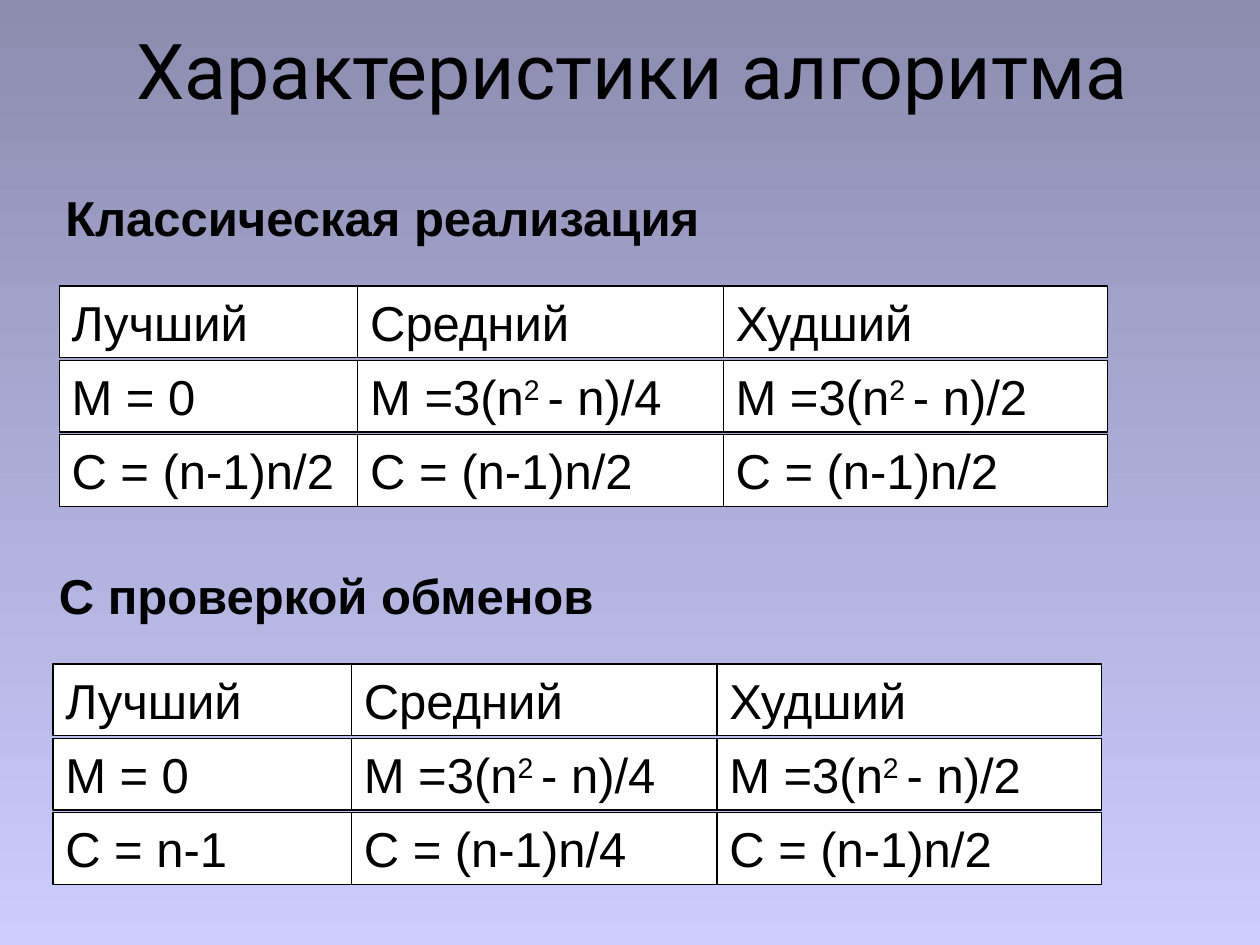
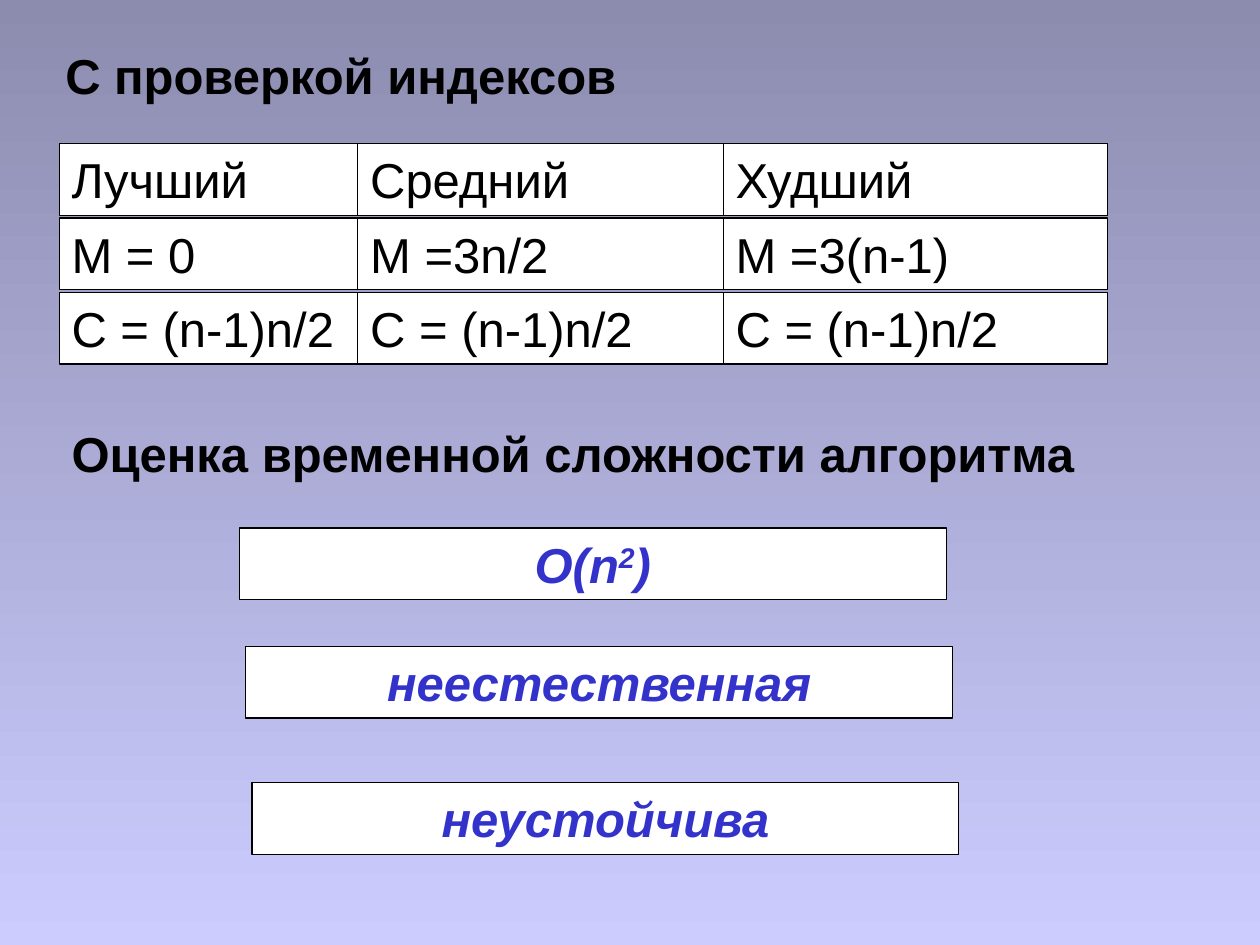
from dataclasses import dataclass
from itertools import accumulate

from pptx import Presentation
from pptx.dml.color import RGBColor
from pptx.enum.shapes import MSO_SHAPE as Shape
from pptx.enum.text import MSO_ANCHOR as Anchor, MSO_AUTO_SIZE as AutoSize, PP_ALIGN as Align
from pptx.slide import Slide
from pptx.text.text import TextFrame
from pptx.util import Emu, Inches, Pt

# Shared style
COLOURS = {
    "top": "8C8CAF",
    "bottom": "CCCCFF",
    "text": "000000",
    "cell": "FFFFFF",
    "verdict": "3333CC",
}
TITLE_FONT, BODY_FONT = "Roboto", "Arial"
TITLE_SIZE, BODY_SIZE = 44, 28

# Grid of 100 columns by 75 rows; all places below are counted in it
SLIDE_WIDTH, SLIDE_HEIGHT = Inches(10), Inches(7.5)
COLUMN, ROW = SLIDE_WIDTH / 100, SLIDE_HEIGHT / 75

BOX_HEIGHT = 5.7
ROW_PITCH = 5.9
CELL_WIDTHS = (23.7, 29, 30.5)
CELL_OFFSETS = tuple(accumulate(CELL_WIDTHS[:-1], initial=0))
TABLE_INDENT, TABLE_DROP = 0.5, 8.3
HEADING_WIDTH, VERDICT_WIDTH = 82.7, 56.1
CASES = ("Лучший", "Средний", "Худший")


@dataclass(frozen=True)
class Box:
    text: str  # parts between ^ marks are superscript
    left: float
    top: float
    width: float
    filled: bool = True
    bold: bool = False
    italic: bool = False
    colour: str = "text"
    align: Align = Align.LEFT


@dataclass(frozen=True)
class Section:
    heading: str
    left: float
    top: float
    moves: tuple[str, str, str]
    comparisons: tuple[str, str, str]


CLASSIC = Section(
    "Классическая реализация", 4.2, 14.4,
    ("M = 0", "M =3(n^2 ^- n)/4", "M =3(n^2 ^- n)/2"),
    ("C = (n-1)n/2",) * 3,
)
SWAP_CHECK = Section(
    "С проверкой обменов", 3.7, 44.4,
    CLASSIC.moves,
    ("C = n-1", "C = (n-1)n/4", "C = (n-1)n/2"),
)
INDEX_CHECK = Section(
    "С проверкой индексов", 4.2, 3.1,
    ("M = 0", "M =3n/2", "M =3(n-1)"),
    CLASSIC.comparisons,
)
VERDICTS = (
    ("О(n^2^)", 19, 41.9),
    ("неестественная", 19.5, 51.3),
    ("неустойчива", 20, 62.1),
)


def colour(name: str) -> RGBColor:
    return RGBColor.from_string(COLOURS[name])


def columns(count: float) -> Emu:
    return Emu(round(count * COLUMN))


def rows(count: float) -> Emu:
    return Emu(round(count * ROW))


def write_text(frame: TextFrame, box: Box) -> None:
    paragraph = frame.paragraphs[0]
    paragraph.alignment = box.align
    for index, part in enumerate(box.text.split("^")):
        if part:
            run = paragraph.add_run()
            run.text = part
            if index % 2:
                run._r.get_or_add_rPr().set("baseline", "30000")
    font = paragraph.font
    font.name, font.size = BODY_FONT, Pt(BODY_SIZE)
    font.bold, font.italic = box.bold, box.italic
    font.color.rgb = colour(box.colour)


def draw_box(slide: Slide, box: Box) -> None:
    place = columns(box.left), rows(box.top), columns(box.width), rows(BOX_HEIGHT)
    if box.filled:
        shape = slide.shapes.add_shape(Shape.RECTANGLE, *place)
        shape.shadow.inherit = False
        shape.fill.solid()
        shape.fill.fore_color.rgb = colour("cell")
        shape.line.color.rgb = colour("text")
        shape.line.width = Pt(0.75)
    else:
        shape = slide.shapes.add_textbox(*place)
    frame = shape.text_frame
    frame.word_wrap = True
    frame.vertical_anchor = Anchor.TOP
    frame.auto_size = AutoSize.SHAPE_TO_FIT_TEXT
    write_text(frame, box)


def draw_heading(slide: Slide, text: str, left: float, top: float,
                 width: float = HEADING_WIDTH) -> None:
    draw_box(slide, Box(text, left, top, width, filled=False, bold=True))


def draw_section(slide: Slide, section: Section) -> None:
    left, top = section.left + TABLE_INDENT, section.top + TABLE_DROP
    for index, texts in enumerate((CASES, section.moves, section.comparisons)):
        for text, offset, width in zip(texts, CELL_OFFSETS, CELL_WIDTHS):
            draw_box(slide, Box(text, left + offset, top + index * ROW_PITCH, width))
    draw_heading(slide, section.heading, section.left, section.top)


def set_background(presentation: Presentation) -> None:
    fill = presentation.slide_master.background.fill
    fill.gradient()
    fill.gradient_angle = 270
    for stop, name in zip(fill.gradient_stops, ("top", "bottom")):
        stop.color.rgb = colour(name)


def set_title(slide: Slide, text: str) -> None:
    title = slide.shapes.title
    title.left, title.top = columns(5.2), rows(0)
    title.width, title.height = columns(90), rows(10.9)
    frame = title.text_frame
    frame.text = text
    frame.auto_size = AutoSize.NONE
    frame.vertical_anchor = Anchor.MIDDLE
    paragraph = frame.paragraphs[0]
    paragraph.alignment = Align.CENTER
    paragraph.font.name, paragraph.font.size = TITLE_FONT, Pt(TITLE_SIZE)
    paragraph.font.color.rgb = colour("text")


def main() -> None:
    presentation = Presentation()
    presentation.slide_width, presentation.slide_height = SLIDE_WIDTH, SLIDE_HEIGHT
    set_background(presentation)
    title_only, blank = (presentation.slide_layouts.get_by_name(name)
                         for name in ("Title Only", "Blank"))

    # Slide 1: classic version and version with swap check
    slide = presentation.slides.add_slide(title_only)
    set_title(slide, "Характеристики алгоритма")
    for section in (CLASSIC, SWAP_CHECK):
        draw_section(slide, section)

    # Slide 2: version with index check and overall verdicts
    slide = presentation.slides.add_slide(blank)
    draw_section(slide, INDEX_CHECK)
    draw_heading(slide, "Оценка временной сложности алгоритма", 4.7, 33.1, 89.1)
    for text, left, top in VERDICTS:
        draw_box(slide, Box(text, left, top, VERDICT_WIDTH, bold=True, italic=True,
                            colour="verdict", align=Align.CENTER))

    presentation.save("out.pptx")


if __name__ == "__main__":
    main()
